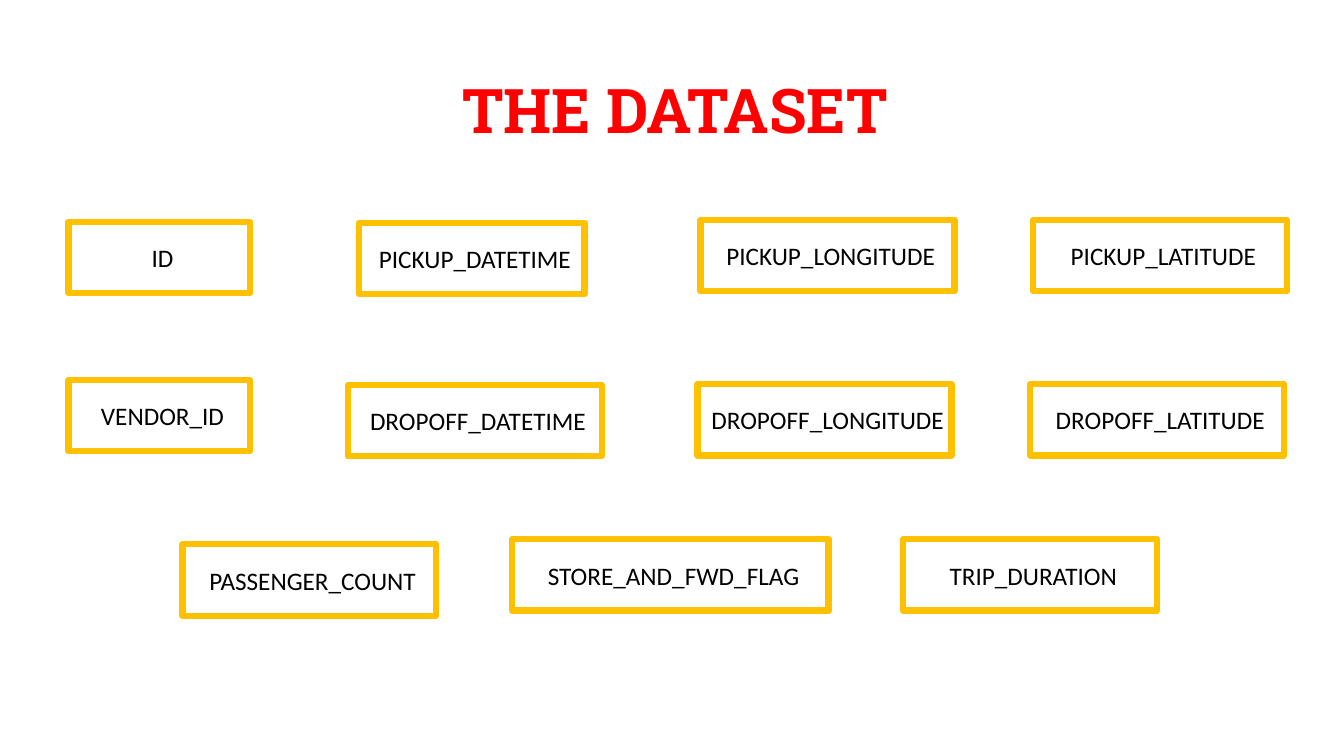
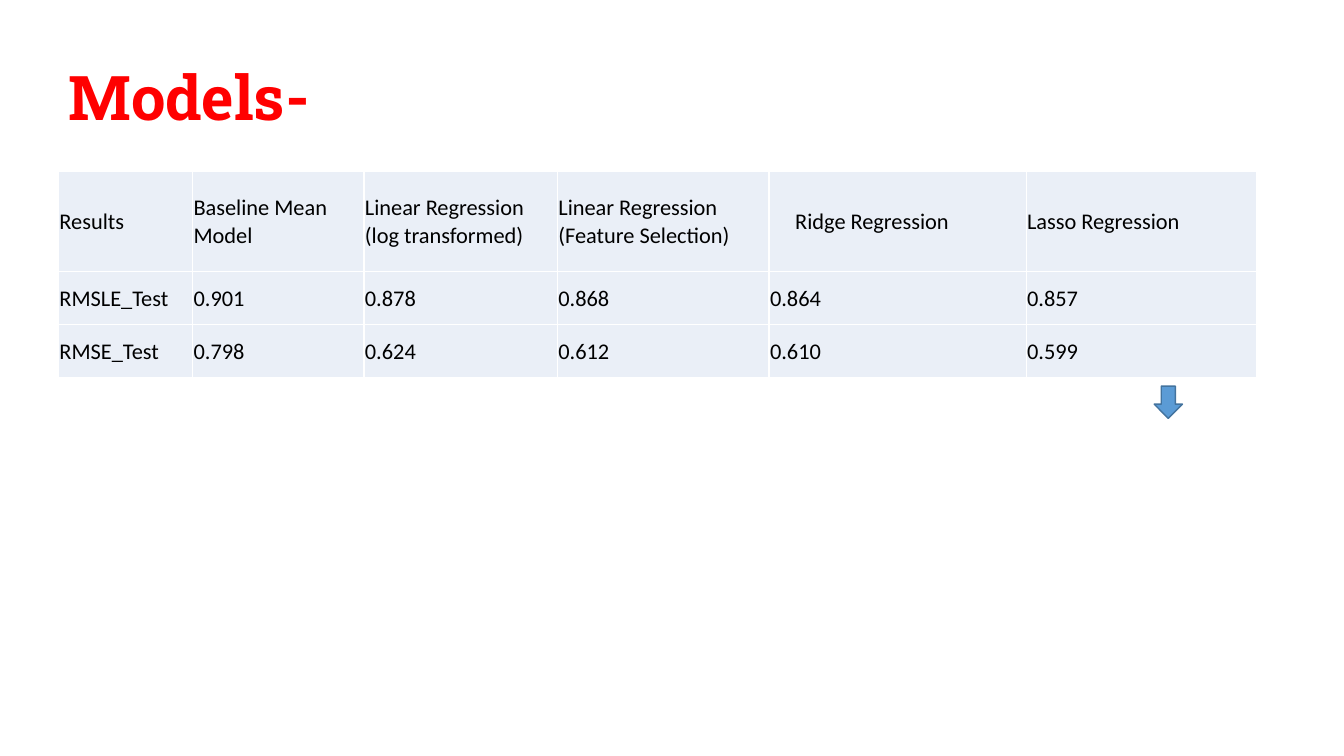
from dataclasses import dataclass

import lxml.etree
import pptx
import pptx.dml.color
import pptx.enum.shapes
import pptx.enum.text
import pptx.oxml.ns
import pptx.util

Pt = pptx.util.Pt
Align = pptx.enum.text.PP_ALIGN
Anchor = pptx.enum.text.MSO_ANCHOR
Preset = pptx.enum.shapes.MSO_SHAPE


@dataclass(frozen=True)
class Theme:
    title_font: str = "Roboto Slab"
    body_font: str = "Calibri"
    title_size: float = 44
    field_size: float = 18
    table_size: float = 16
    title_color: str = "FF0000"
    text_color: str = "000000"
    field_line: str = "FFC000"
    cell_fill: str = "EAEFF7"
    cell_line: str = "FFFFFF"
    arrow_fill: str = "5B9BD5"
    arrow_line: str = "43739E"


THEME = Theme()
FIELD_HEIGHT = 51

# Dataset fields: name, left, top, width
FIELDS = [
    ("ID", 49, 158.4, 129.6),
    ("VENDOR_ID", 49, 271.4, 129.6),
    ("PICKUP_DATETIME", 256.3, 159.1, 161.3),
    ("DROPOFF_DATETIME", 248.4, 275, 181.4),
    ("PICKUP_LONGITUDE", 500.4, 157, 181.4),
    ("DROPOFF_LONGITUDE", 498.2, 274.3, 181.4),
    ("PICKUP_LATITUDE", 738, 157, 181.4),
    ("DROPOFF_LATITUDE", 735.8, 274.3, 181.4),
    ("PASSENGER_COUNT", 130.3, 388.8, 181.4),
    ("STORE_AND_FWD_FLAG", 365.8, 385.2, 226.1),
    ("TRIP_DURATION", 645.1, 385.2, 181.4),
]

# Model scores, header row first
RESULTS = [
    ["Results", "Baseline Mean Model", "Linear Regression\n(log transformed)",
     "Linear Regression\n(Feature Selection)", "Ridge Regression", "Lasso Regression"],
    ["RMSLE_Test", "0.901", "0.878", "0.868", "0.864", "0.857"],
    ["RMSE_Test", "0.798", "0.624", "0.612", "0.610", "0.599"],
]
COLUMN_WIDTHS = [95.8, 122.4, 138.2, 151.2, 183.6, 164.9]
ROW_HEIGHTS = [71.2, 38, 38]
INDENTED_CELL = (0, 4)


def rgb(value):
    return pptx.dml.color.RGBColor.from_string(value)


def format_text(frame, font, size, color, bold=False, align=Align.LEFT):
    for para in frame.paragraphs:
        para.alignment = align
        for span in para.runs:
            span.font.name = font
            span.font.size = Pt(size)
            span.font.bold = bold
            span.font.color.rgb = rgb(color)


def add_title(page, text, left, top, align):
    box = page.shapes.add_textbox(Pt(left), Pt(top), Pt(828), Pt(104.4))
    frame = box.text_frame
    frame.word_wrap = True
    frame.vertical_anchor = Anchor.MIDDLE
    frame.text = text
    frame.paragraphs[0].line_spacing = 0.9
    format_text(frame, THEME.title_font, THEME.title_size, THEME.title_color, True, align)


def add_preset(page, kind, left, top, width, height, line, line_width, fill=None):
    shape = page.shapes.add_shape(kind, Pt(left), Pt(top), Pt(width), Pt(height))
    shape.shadow.inherit = False
    shape.line.color.rgb = rgb(line)
    shape.line.width = Pt(line_width)
    if fill:
        shape.fill.solid()
        shape.fill.fore_color.rgb = rgb(fill)
    else:
        shape.fill.background()
    return shape


def add_field(page, name, left, top, width):
    box = add_preset(page, Preset.RECTANGLE, left, top, width, FIELD_HEIGHT,
                     THEME.field_line, 4.5)
    frame = box.text_frame
    frame.word_wrap = False
    frame.vertical_anchor = Anchor.MIDDLE
    # The label sits slightly right of centre
    frame.margin_left, frame.margin_right = Pt(4.6), 0
    frame.text = name
    format_text(frame, THEME.body_font, THEME.field_size, THEME.text_color,
                align=Align.CENTER)


def set_borders(cell, color, width):
    properties = cell._tc.get_or_add_tcPr()
    for index, side in enumerate(("a:lnL", "a:lnR", "a:lnT", "a:lnB")):
        line = lxml.etree.Element(pptx.oxml.ns.qn(side), w=str(Pt(width)))
        fill = lxml.etree.SubElement(line, pptx.oxml.ns.qn("a:solidFill"))
        lxml.etree.SubElement(fill, pptx.oxml.ns.qn("a:srgbClr"), val=color)
        properties.insert(index, line)


def fill_cell(cell, text, indent):
    cell.text_frame.text = text
    cell.vertical_anchor = Anchor.MIDDLE
    cell.margin_left = Pt(0.7 + indent)
    cell.margin_right = cell.margin_top = Pt(0.7)
    cell.margin_bottom = 0
    cell.fill.solid()
    cell.fill.fore_color.rgb = rgb(THEME.cell_fill)
    set_borders(cell, THEME.cell_line, 1)
    format_text(cell.text_frame, THEME.body_font, THEME.table_size, THEME.text_color)


def add_results_table(page, left, top):
    table = page.shapes.add_table(
        len(RESULTS), len(COLUMN_WIDTHS), Pt(left), Pt(top),
        Pt(sum(COLUMN_WIDTHS)), Pt(sum(ROW_HEIGHTS))).table
    table.first_row = table.horz_banding = False
    for column, width in zip(table.columns, COLUMN_WIDTHS):
        column.width = Pt(width)
    for row, height in zip(table.rows, ROW_HEIGHTS):
        row.height = Pt(height)
    for row_index, values in enumerate(RESULTS):
        for column_index, text in enumerate(values):
            indent = 18 if (row_index, column_index) == INDENTED_CELL else 0
            fill_cell(table.cell(row_index, column_index), text, indent)


def main():
    deck = pptx.Presentation()
    deck.slide_width, deck.slide_height = Pt(960), Pt(540)
    blank = deck.slide_layouts[6]

    # Dataset fields
    page = deck.slides.add_slide(blank)
    add_title(page, "THE DATASET", 68.4, 28.8, Align.CENTER)
    for field in FIELDS:
        add_field(page, *field)

    # Model results, with an arrow below the best model
    page = deck.slides.add_slide(blank)
    add_title(page, "Models-", 41.8, 19.4, Align.LEFT)
    add_results_table(page, 41.8, 122.6)
    add_preset(page, Preset.DOWN_ARROW, 824.4, 275.8, 20.2, 23,
               THEME.arrow_line, 1, THEME.arrow_fill)

    deck.save("out.pptx")


if __name__ == "__main__":
    main()
